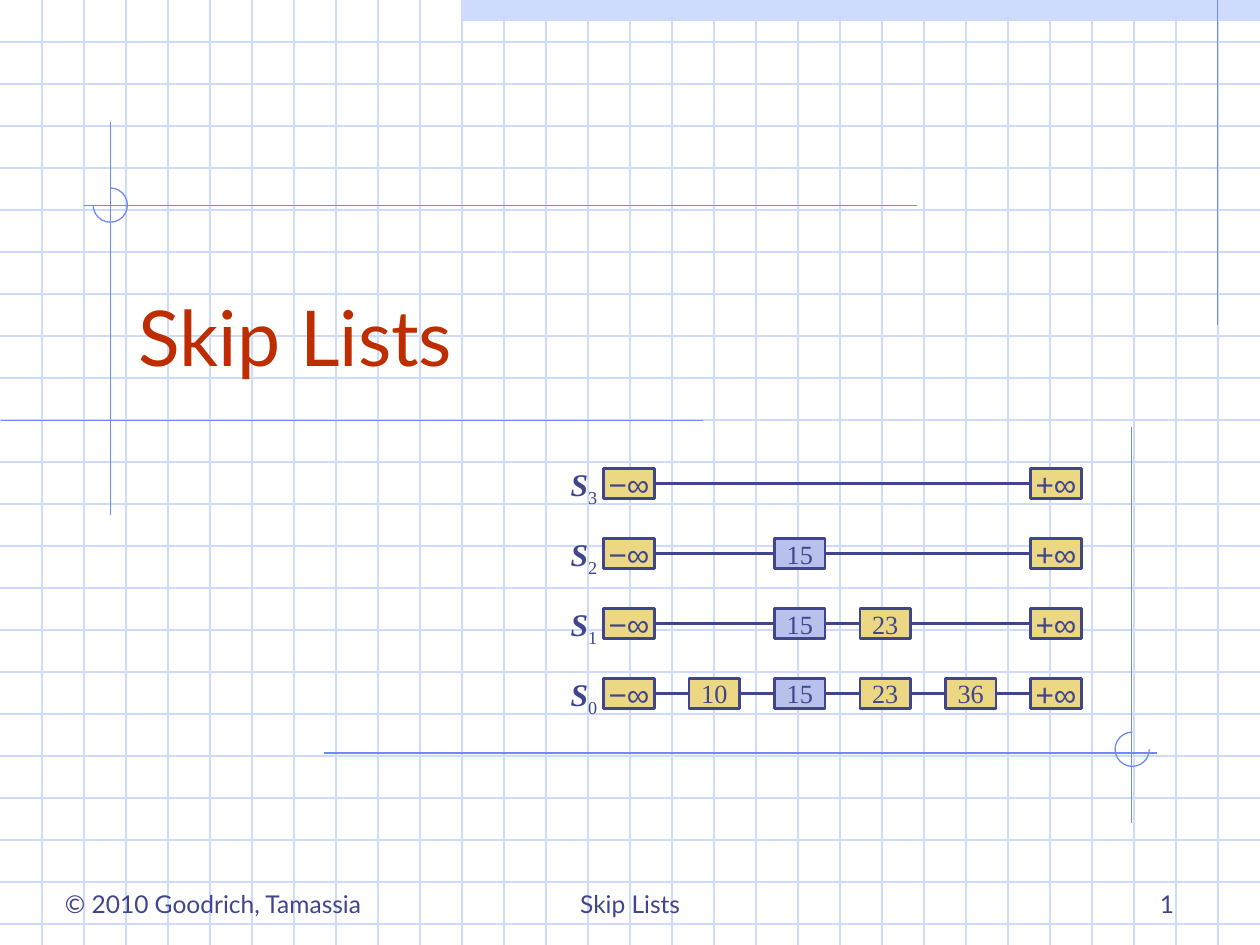
from collections import namedtuple

from pptx import Presentation, util as u
from pptx.dml.color import RGBColor
from pptx.enum import shapes as es, text as et
from pptx.oxml.ns import qn
from lxml import etree

Box = namedtuple("Box", "x y w h")


class Theme:
    ink, title, rule, grid = "40458C", "BE2D00", "6F89F7", "CFDBFD"
    node, mark = "ECD882", "B7C1EB"
    sans, serif, math = "Lato", "Times New Roman", "Arial"
    big, key, num, foot = 44, 18, 15, 14
    thin, bold = 0.75, 1.5


AL, ANC = et.PP_ALIGN, et.MSO_ANCHOR
PAGE = Box(0, 0, 25.4, 19.05)


def rgb(hue):
    return RGBColor.from_string(hue)


def emu(*vals):
    return [u.Cm(v) for v in vals]


def line(slide, x1, y1, x2, y2, hue, wide):
    con = slide.shapes.add_connector(es.MSO_CONNECTOR.STRAIGHT, *emu(x1, y1, x2, y2))
    con.line.color.rgb = rgb(hue)
    con.line.width = u.Pt(wide)
    etree.SubElement(con.element.spPr, qn("a:effectLst"))
    return con


def shape(slide, kind, box, fill=None, edge=None, wide=0):
    item = slide.shapes.add_shape(kind, *emu(*box))
    item.shadow.inherit = False
    if fill:
        item.fill.solid()
        item.fill.fore_color.rgb = rgb(fill)
    else:
        item.fill.background()
    if edge:
        item.line.color.rgb = rgb(edge)
        item.line.width = u.Pt(wide)
    else:
        item.line.fill.background()
    return item


def frame(item, align, anchor, wrap):
    tf = item.text_frame
    tf.auto_size = et.MSO_AUTO_SIZE.NONE
    tf.word_wrap, tf.vertical_anchor = wrap, anchor
    par = tf.paragraphs[0]
    par.alignment = align
    return par


def run(par, words, face, size, hue=Theme.ink):
    bit = par.add_run()
    bit.text = words
    bit.font.name, bit.font.size = face, u.Pt(size)
    bit.font.color.rgb = rgb(hue)
    return bit


def paper(slide, box):
    """Squared paper with a band at the top right."""
    step = box.w / 30
    right, foot = box.x + box.w, box.y + box.h
    shape(slide, es.MSO_SHAPE.RECTANGLE,
          Box(box.x + 11 * step, box.y, 19 * step, step / 2), Theme.grid)
    for i in range(1, 23):
        y = box.y + i * step
        line(slide, box.x, y, right, y, Theme.grid, Theme.thin)
    for i in range(1, 30):
        x = box.x + i * step
        line(slide, x, box.y, x, foot, Theme.grid, Theme.thin)


def rules(slide, box):
    """Drafting lines with two open circles where they cross."""
    for x1, y1, x2, y2 in (
        (24.55, 0, 24.55, 6.55),
        (2.23, 2.46, 2.23, 10.39),
        (0.02, 8.48, 14.17, 8.48),
        (1.7, 4.14, 18.49, 4.14),
        (6.53, 15.18, 23.32, 15.18),
        (22.81, 8.61, 22.81, 16.59),
    ):
        line(slide, box.x + x1, box.y + y1, box.x + x2, box.y + y2,
             Theme.rule, Theme.thin)
    # Arc ends are in units of 100000/60000 degrees
    for x, y, start, stop in ((1.88, 3.79, 162, 108), (22.48, 14.76, 0, 162)):
        arc = shape(slide, es.MSO_SHAPE.ARC, Box(box.x + x, box.y + y, 0.69, 0.69),
                    None, Theme.rule, Theme.thin)
        arc.adjustments[0], arc.adjustments[1] = start, stop


def head(slide, box):
    """Title, brought in front of the paper."""
    item = slide.shapes.title
    item.left, item.top, item.width, item.height = emu(*box)
    par = frame(item, AL.LEFT, ANC.BOTTOM, True)
    run(par, "Skip Lists", Theme.sans, Theme.big, Theme.title)
    item.element.getparent().append(item.element)


def node(slide, box, words):
    ends = "∞" in words
    item = shape(slide, es.MSO_SHAPE.RECTANGLE, box,
                 Theme.mark if words == "15" else Theme.node, Theme.ink, Theme.bold)
    par = frame(item, AL.CENTER, ANC.MIDDLE, False)
    run(par, words, Theme.math if ends else Theme.serif,
        Theme.key if ends else Theme.num)
    return item


def label(slide, box, level):
    item = slide.shapes.add_textbox(*emu(*box))
    par = frame(item, AL.CENTER, ANC.TOP, False)
    name = run(par, "S", Theme.serif, Theme.key)
    name.font.bold = name.font.italic = True
    sub = run(par, str(level), Theme.serif, Theme.key)
    sub.font._element.set("baseline", "-25000")


def levels(slide, box):
    """Skip list: a row for each level, a column for each key."""
    keys = ["−∞", "10", "15", "23", "36", "+∞"]
    rows = [(3, [0, 5]), (2, [0, 2, 5]), (1, [0, 2, 3, 5]), (0, range(6))]
    wide, high = 1.02, 0.6
    dx = (box.w - wide) / (len(keys) - 1)
    dy = (box.h - high) / (len(rows) - 1)
    for i, (level, cols) in enumerate(rows):
        y = box.y + i * dy
        label(slide, Box(box.x - 0.92, y - 0.2, 1.04, 1.12), level)
        nodes = [node(slide, Box(box.x + c * dx, y, wide, high), keys[c])
                 for c in cols]
        for left, right in zip(nodes, nodes[1:]):
            link = line(slide, 0, 0, 1, 1, Theme.ink, Theme.bold)
            link.begin_connect(left, 3)
            link.end_connect(right, 1)


def foot(slide, box):
    """Credit, topic and page number."""
    for x, w, align, words in (
        (0, 6.78, AL.LEFT, "© 2010 Goodrich, Tamassia"),
        (7.62, 8.05, AL.CENTER, "Skip Lists"),
        (17.14, 5.72, AL.RIGHT, "1"),
    ):
        item = slide.shapes.add_textbox(*emu(box.x + x, box.y, w, box.h))
        run(frame(item, align, ANC.BOTTOM, True), words, Theme.sans, Theme.foot)


def main():
    deck = Presentation()
    deck.slide_width, deck.slide_height = emu(PAGE.w, PAGE.h)
    slide = deck.slides.add_slide(deck.slide_layouts[5])
    paper(slide, PAGE)
    rules(slide, PAGE)
    head(slide, Box(2.54, 4.66, 21.59, 3.17))
    levels(slide, Box(12.17, 9.45, 9.63, 4.83))
    foot(slide, Box(1.06, 17.36, 22.86, 1.27))
    deck.save("out.pptx")


if __name__ == "__main__":
    main()
